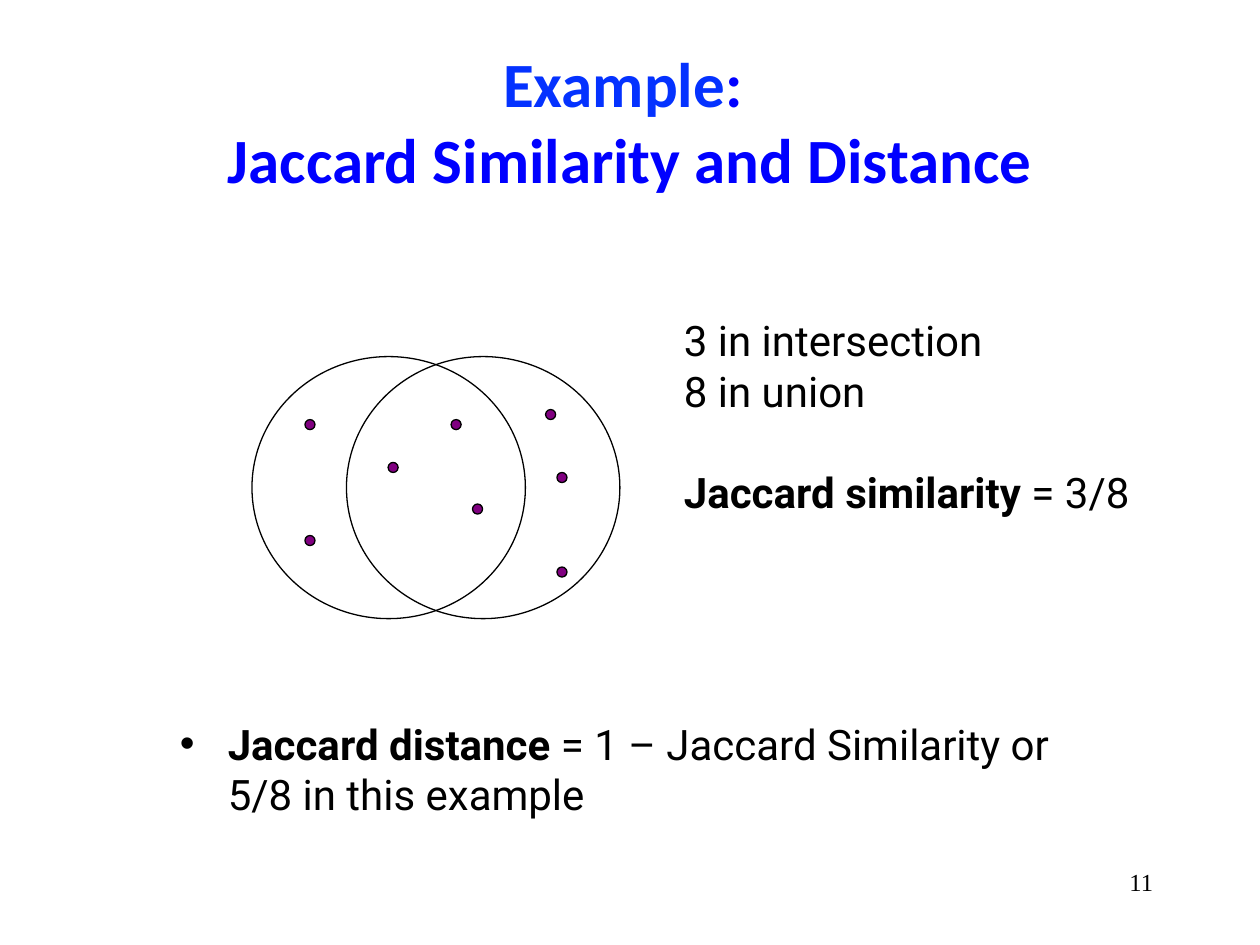
from lxml import etree
from pptx import Presentation
from pptx.dml.color import RGBColor
from pptx.enum import shapes, text
from pptx.oxml.ns import qn
from pptx.util import Inches, Pt

BLACK = RGBColor(0x00, 0x00, 0x00)
BRIGHT_BLUE = RGBColor(0x04, 0x32, 0xFF)
BLUE = RGBColor(0x00, 0x00, 0xFF)
PURPLE = RGBColor(0x80, 0x00, 0x80)


def add_span(para, words, size=24, font="Roboto", color=BLACK, bold=False):
    span = para.add_run()
    span.text = words
    span.font.size = Pt(size)
    span.font.name = font
    span.font.bold = bold
    span.font.color.rgb = color


def add_ellipse(left, top, width, height):
    ellipse = page.shapes.add_shape(
        shapes.MSO_SHAPE.OVAL, Inches(left), Inches(top), Inches(width), Inches(height))
    ellipse.shadow.inherit = False
    ellipse.line.color.rgb = BLACK
    ellipse.line.width = Pt(0.75)
    return ellipse


deck = Presentation()
deck.slide_width = Inches(10)
deck.slide_height = Inches(7.5)
page = deck.slides.add_slide(deck.slide_layouts[5])

title = page.shapes.title
title.left, title.top = Inches(0.75), Inches(0.33)
title.width, title.height = Inches(8.5), Inches(1.25)
title.text_frame.vertical_anchor = text.MSO_ANCHOR.MIDDLE
title.text_frame.auto_size = text.MSO_AUTO_SIZE.NONE
para = title.text_frame.paragraphs[0]
para.alignment = text.PP_ALIGN.CENTER
add_span(para, "Example", 36, "Calibri", BRIGHT_BLUE, True)
add_span(para, ": ", 36, "Calibri", BLUE, True)
para.add_line_break()
add_span(para, "Jaccard Similarity and Distance", 36, "Calibri", BLUE, True)

for left in (2.75, 2):
    add_ellipse(left, 2.83, 2.17, 2.08).fill.background()

left_only = [(2.42, 3.33), (2.42, 4.25)]
shared = [(3.08, 3.67), (3.75, 4), (3.58, 3.33)]
right_only = [(4.42, 3.75), (4.42, 4.5), (4.33, 3.25)]
for left, top in left_only + shared + right_only:
    dot = add_ellipse(left, top, 0.08, 0.08)
    dot.fill.solid()
    dot.fill.fore_color.rgb = PURPLE

counts = page.shapes.add_textbox(Inches(5.33), Inches(2.45), Inches(4.5), Inches(1.72))
counts.text_frame.word_wrap = True
para = counts.text_frame.paragraphs[0]
add_span(para, "3 in intersection")
para = counts.text_frame.add_paragraph()
add_span(para, "8 in union")
para = counts.text_frame.add_paragraph()
para.space_before = Pt(29)
add_span(para, "Jaccard similarity ", bold=True)
add_span(para, "= 3/8")

distance = page.shapes.add_textbox(Inches(1.33), Inches(5.65), Inches(7.67), Inches(0.91))
distance.text_frame.word_wrap = True
para = distance.text_frame.paragraphs[0]
add_span(para, "Jaccard distance", bold=True)
add_span(para, " = 1 – Jaccard Similarity or 5/8 in this example")
properties = para._p.get_or_add_pPr()
properties.set("marL", str(Inches(0.38)))
properties.set("indent", str(-Inches(0.38)))
etree.SubElement(properties, qn("a:buFont"), typeface="Arial")
etree.SubElement(properties, qn("a:buChar"), char="•")

number = page.shapes.add_textbox(Inches(7.17), Inches(6.83), Inches(2.08), Inches(0.5))
number.text_frame.word_wrap = True
para = number.text_frame.paragraphs[0]
para.alignment = text.PP_ALIGN.RIGHT
add_span(para, "11", 14, "Times New Roman")

deck.save("out.pptx")
